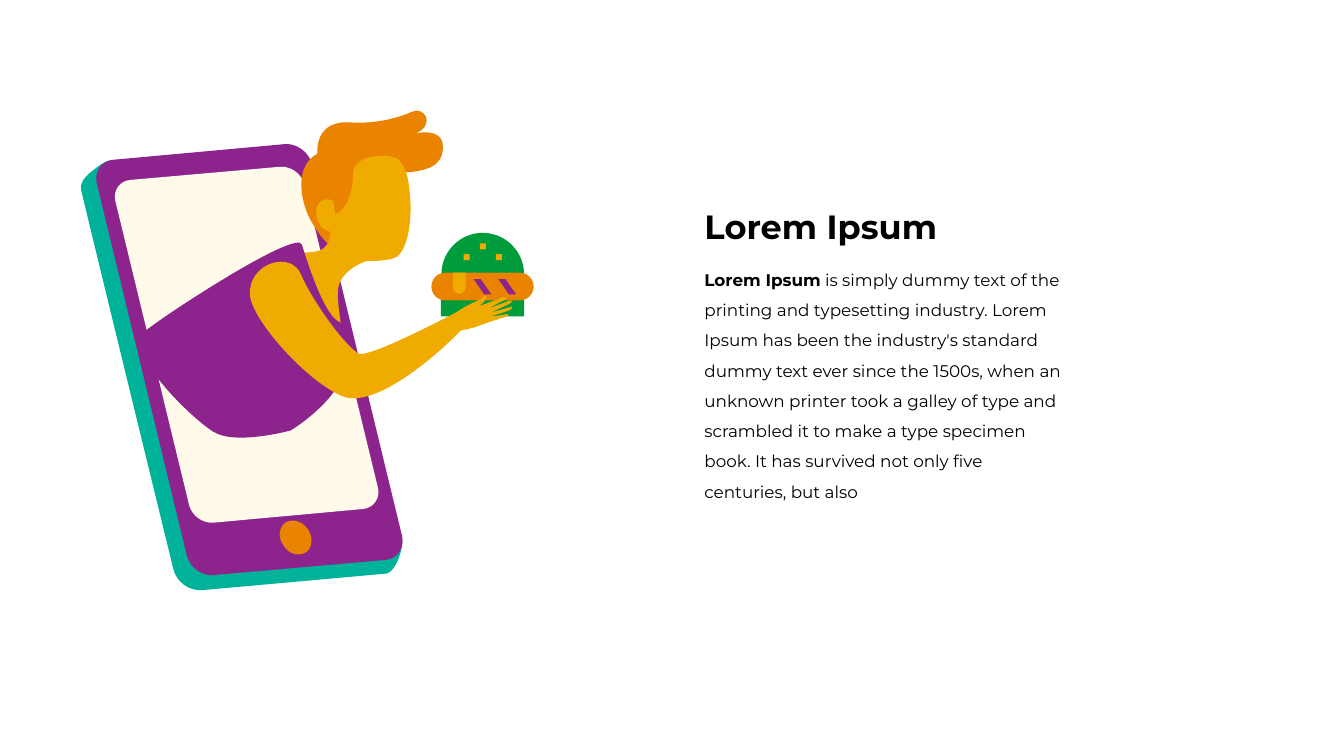
import lxml.etree
import pptx
import pptx.dml.color
import pptx.enum.shapes
import pptx.enum.text
import pptx.oxml.ns
import pptx.util

Inches = pptx.util.Inches
qn = pptx.oxml.ns.qn
MSO_SHAPE = pptx.enum.shapes.MSO_SHAPE
COLORS = {
    "green": "009B3A", "orange": "E98300", "yellow": "F0AB00", "purple": "8D248D",
    "teal": "00B299", "cream": "FFFAEA", "black": "000000",
}
FONT = "Montserrat"

# Outlines in inches from the corner of the illustration panel
PHONE = [
    ("teal", "M 1.61 3.77 C 1.57 3.58 1.78 3.43 1.9 3.34 C 2.06 3.21 2.15 3.19 2.15 3.19 "
     "L 5.62 2.89 C 5.88 2.86 6.14 3.05 6.2 3.31 L 7.97 10.7 C 8.02 10.83 7.87 11.32 7.68 11.38 "
     "L 4.01 11.71 C 3.76 11.73 3.5 11.55 3.44 11.29 C 3.44 11.29 1.82 4.66 1.61 3.77"),
    ("purple", "M 1.92 3.63 C 1.87 3.4 2.01 3.19 2.25 3.17 L 5.65 2.86 "
     "C 5.89 2.84 6.13 3.02 6.19 3.25 L 7.98 10.64 C 8.03 10.88 7.88 11.09 7.65 11.11 "
     "L 4.25 11.41 C 4.01 11.44 3.77 11.26 3.71 11.03"),
    ("cream", "M 2.29 3.99 C 2.24 3.78 2.37 3.59 2.59 3.57 L 5.55 3.31 "
     "C 5.77 3.29 5.99 3.45 6.04 3.66 L 7.5 9.68 C 7.55 9.89 7.41 10.08 7.2 10.1 "
     "L 4.24 10.37 C 4.02 10.39 3.8 10.23 3.75 10.01"),
    ("orange", "M 5.84 10.33 C 5.94 10.34 6.04 10.4 6.11 10.5 C 6.22 10.66 6.2 10.87 6.07 10.96 "
     "C 6.02 10.99 5.96 11.01 5.9 11 C 5.88 11 5.86 11 5.84 10.99 "
     "C 5.76 10.97 5.68 10.91 5.63 10.83 C 5.57 10.75 5.55 10.66 5.55 10.58 "
     "C 5.56 10.49 5.6 10.42 5.66 10.37 C 5.71 10.34 5.77 10.32 5.84 10.33"),
]
HAIR = ("orange", "M 6.3 3.05 C 6.3 3.05 6.22 2.37 6.97 2.43 C 7.48 2.46 7.93 2.33 8.17 2.22 "
        "C 8.41 2.1 8.66 2.46 8.25 2.65 C 8.25 2.65 8.78 2.51 8.79 2.91 "
        "C 8.8 3.43 8.18 3.4 7.87 3.44 C 7.56 3.49 6.86 4.85 6.53 4.86 "
        "C 6.53 4.86 6.31 4.67 6.12 4.28 C 5.95 3.9 5.86 3.28 6.3 3.05")
HEAD = ("yellow", "M 7.01 3.43 C 7.03 3.03 7.78 3.05 7.9 3.16 C 8.02 3.28 8.09 3.43 8.12 3.73 "
        "C 8.2 4.32 8.1 4.92 7.88 5.09 C 7.75 5.19 7.27 5.18 7.27 5.18 "
        "C 7.27 5.18 6.77 5.34 6.71 5.72 C 6.64 6.16 7.06 7.27 6.56 7.51 "
        "C 6.05 7.74 5.47 8.29 4.68 8.26 C 3.88 8.23 3.19 7.13 3.51 6.82 "
        "C 4.2 6.17 4.86 5.07 5.84 5.02 C 6.28 5 6.52 5.04 6.56 4.6 "
        "C 6.56 4.6 6.46 4.59 6.37 4.49 C 6.26 4.36 6.21 4.05 6.41 3.97 "
        "C 6.54 3.92 6.64 4 6.62 4.02 L 6.65 4.25 C 6.65 4.25 6.99 4.17 7.01 3.43")
SHIRT = ("purple", "M 5.77 8.54 C 5.77 8.54 6.47 8.12 6.76 7.56 C 7.02 7.06 6.88 6.44 6.76 6.4 "
         "C 6.49 6.32 6.2 5.53 5.99 4.85 C 5.89 4.55 3.35 6.19 2.88 6.57 "
         "C 2.41 6.96 3.8 8.3 4.24 8.57 C 4.68 8.84 5.77 8.54 5.77 8.54")
ARM = ("yellow", "M 5.98 5.46 C 6.13 5.83 6.72 6.73 7.1 7.01 C 7.28 7.15 9.2 6.12 9.2 6.12 "
       "C 9.2 6.12 9.5 6.12 9.29 6.4 C 9.07 6.67 7.54 8.17 6.79 7.86 "
       "C 6.05 7.54 4.99 6.33 4.96 5.85 C 4.92 5.22 5.78 4.95 5.98 5.46")
HAND = ("yellow", "M 9.57 5.91 C 9.5 5.99 9.14 6.05 8.9 6.36 C 8.9 6.37 8.85 6.53 8.96 6.56 "
        "C 9.02 6.57 9.23 6.56 9.49 6.47 C 9.64 6.41 9.92 6.32 10.03 6.29 "
        "C 10.14 6.25 10.1 6.22 10.02 6.24 C 9.95 6.25 9.7 6.29 9.7 6.29 "
        "C 9.7 6.29 10.02 6.19 10.1 6.16 C 10.17 6.13 10.2 6.07 10.1 6.1 "
        "C 10.03 6.12 9.72 6.21 9.72 6.21 C 9.72 6.21 10.05 6.06 10.12 6.02 "
        "C 10.18 5.99 10.17 5.94 10.07 5.98 C 9.99 6.01 9.68 6.13 9.68 6.13 "
        "C 9.68 6.13 9.93 5.99 10 5.96 C 10.08 5.92 10.08 5.86 9.95 5.91 "
        "C 9.86 5.95 9.62 6.03 9.49 6.08 C 9.54 6.05 9.65 5.98 9.65 5.88 "
        "C 9.65 5.86 9.64 5.84 9.57 5.91")
PERSON = [HAIR, HEAD, SHIRT, ARM, HAND]

# Outlines in inches from the corner of the part
BUN_TOP = "M 0.82 0 C 1.27 0 1.64 0.37 1.64 0.82 L 1.64 1.13 L 0 1.13 L 0 0.82 C 0 0.37 0.37 0 0.82 0"
STRIPE = "M 0.14 0 L 0.35 0.3 L 0.21 0.3 L 0 0"


def rgb(name):
    return pptx.dml.color.RGBColor.from_string(COLORS[name])


def paint(sp, color):
    sp.shadow.inherit = False
    sp.fill.solid()
    sp.fill.fore_color.rgb = rgb(color)
    sp.line.fill.background()


def add_outline(shapes, left, top, color, outline):
    tokens = outline.split()
    commands = [t for t in tokens if t.isalpha()]
    numbers = [float(t) for t in tokens if not t.isalpha()]
    points = [(Inches(left + x), Inches(top + y)) for x, y in zip(numbers[::2], numbers[1::2])]
    builder = shapes.build_freeform(*points[0])
    builder.add_line_segments(points[1:], close=True)
    sp = builder.convert_to_shape()
    # Join each three segments of a C command into one cubic curve
    segments = iter(list(sp._element.iter(qn("a:lnTo"))))
    for command in commands[1:]:
        segment = next(segments)
        if command == "C":
            segment.addprevious(lxml.etree.Element(qn("a:cubicBezTo")))
            curve = segment.getprevious()
            for part in (segment, next(segments), next(segments)):
                curve.append(part[0])
                part.getparent().remove(part)
    paint(sp, color)


def add_preset(shapes, kind, left, top, width, height, color, adjustments=()):
    sp = shapes.add_shape(kind, Inches(left), Inches(top), Inches(width), Inches(height))
    for i, value in enumerate(adjustments):
        sp.adjustments[i] = value
    paint(sp, color)


def add_burger(shapes, left, top):
    add_preset(shapes, MSO_SHAPE.RECTANGLE, left + 0.19, top + 1.26, 1.65, 0.4, "green")
    add_outline(shapes, left + 0.2, top, "green", BUN_TOP)
    add_preset(shapes, MSO_SHAPE.ROUNDED_RECTANGLE, left, top + 0.79, 2.03, 0.55, "orange", [0.5])
    # Seeds
    for x, y in ((1.28, 0.42), (0.64, 0.42), (0.96, 0.21)):
        add_preset(shapes, MSO_SHAPE.RECTANGLE, left + x, top + y, 0.12, 0.12, "yellow")
    # Melting cheese and stripes
    add_preset(shapes, MSO_SHAPE.ROUND_2_SAME_RECTANGLE, left + 0.43, top + 0.79, 0.25, 0.42,
               "yellow", [0, 0.5])
    for x in (1.33, 0.84):
        add_outline(shapes, left + x, top + 0.92, "purple", STRIPE)


def add_illustration(slide, left, top):
    shapes = slide.shapes.add_group_shape().shapes
    add_burger(shapes, left + 8.56, top + 4.62)
    for color, outline in PHONE + PERSON:
        add_outline(shapes, left, top, color, outline)


def add_text(slide, left, top, width, height, runs, size, line_spacing=None):
    box = slide.shapes.add_textbox(Inches(left), Inches(top), Inches(width), Inches(height))
    tf = box.text_frame
    tf.word_wrap = True
    tf.auto_size = pptx.enum.text.MSO_AUTO_SIZE.SHAPE_TO_FIT_TEXT
    p = tf.paragraphs[0]
    if line_spacing:
        p.line_spacing = line_spacing
    for text, bold in runs:
        r = p.add_run()
        r.text = text
        r.font.name = FONT
        r.font.size = pptx.util.Pt(size)
        r.font.bold = bold
        r.font.color.rgb = rgb("black")


def add_copy(slide, left, top):
    add_text(slide, left, top + 1.06, 7.33, 4.88, [
        ("Lorem Ipsum", True),
        (" is simply dummy text of the printing and typesetting industry. Lorem Ipsum has been "
         "the industry's standard dummy text ever since the 1500s, when an unknown printer took "
         "a galley of type and scrambled it to make a type specimen book. It has survived not "
         "only five centuries, but also", False),
    ], 24, 1.5)
    add_text(slide, left, top, 7.89, 0.91, [("Lorem Ipsum", True)], 48)


def main():
    prs = pptx.Presentation()
    prs.slide_width, prs.slide_height = Inches(26.67), Inches(15)
    slide = prs.slides.add_slide(prs.slide_layouts[6])
    add_illustration(slide, 0, 0)
    add_copy(slide, 13.88, 4.04)
    prs.save("out.pptx")


if __name__ == "__main__":
    main()
